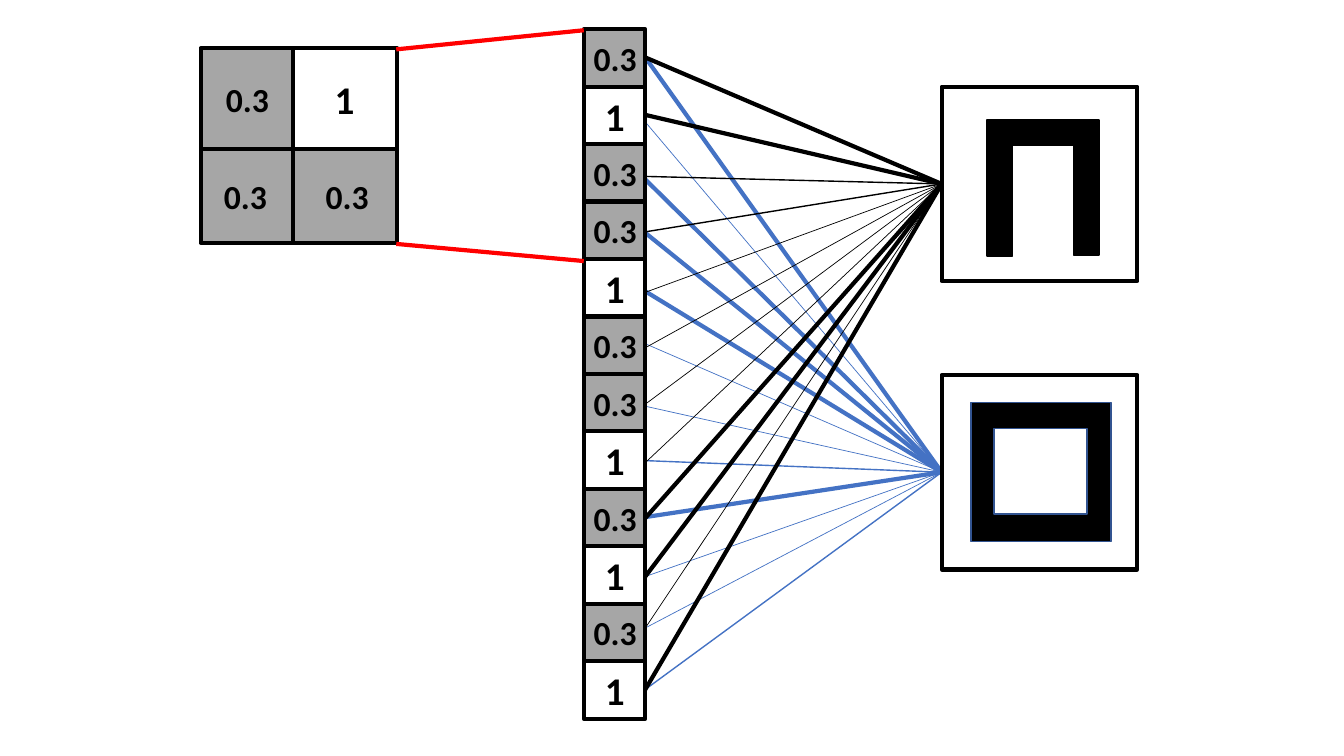
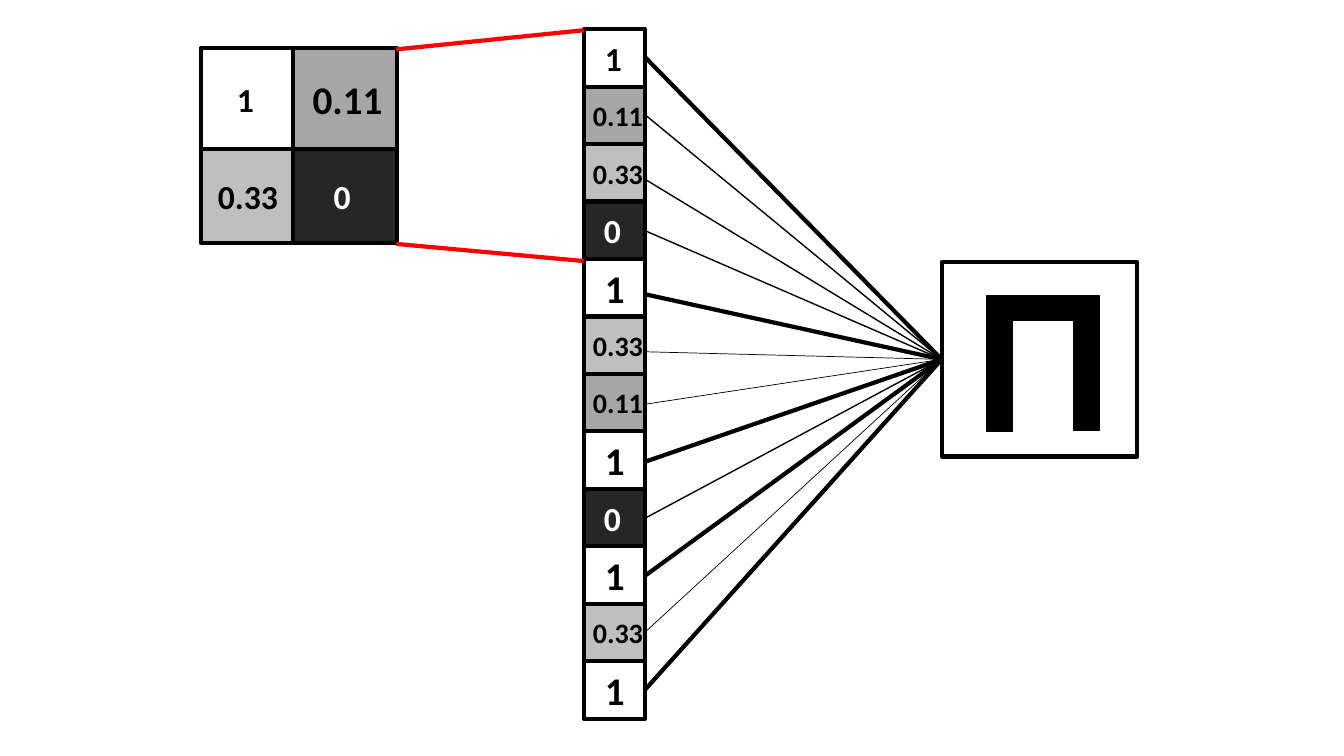
"""Build two slides that link image pixels, flattened to a column, to the shapes they vote for."""
from lxml.etree import SubElement
from pptx import Presentation
from pptx.dml.color import RGBColor
from pptx.enum.shapes import MSO_CONNECTOR, MSO_SHAPE
from pptx.enum.text import MSO_ANCHOR, PP_ALIGN
from pptx.oxml.ns import qn
from pptx.util import Pt

PX = 9144
SLIDE_SIZE = (1333, 750)
FONT = "Calibri"
COLORS = {
    "black": "000000",
    "white": "FFFFFF",
    "red": "FF0000",
    "blue": "4472C4",
    "navy": "325491",
    "gray": "A6A6A6",
    "silver": "BFBFBF",
    "charcoal": "262626",
}
SHADES = {"0.3": "gray", "0.11": "gray", "0.33": "silver", "0": "charcoal", "1": None}

PATCH_COLUMNS = [(199, 92), (291, 103)]
PATCH_ROWS = [(48, 100), (148, 93)]
CELL_LEFT, CELL_TOP, CELL_WIDTH, CELL_HEIGHT = 579, 29, 61, 57
GUIDES = [((393, 49), (579, 30)), ((393, 242), (579, 259))]
LINK_LEFT = 640
FRAME_LEFT, FRAME_WIDTH, FRAME_HEIGHT = 934, 194, 193

ARCH = [
    (45, 58, 25, 110, "black", "black"),
    (131, 57, 25, 110, "black", "black"),
    (45, 33, 111, 25, "black", "black"),
]
SQUARE = [
    (29, 27, 139, 138, "black", "navy"),
    (52, 53, 92, 85, "white", "navy"),
]

ONE = ("1", 28, 21)
SMALL_ONE = ("1", 24, 21)
ZERO = ("0", 24, 20)
THIRD = ("0.3", 24, 10)
LONG_THIRD = ("0.33", 20, 9)
NINTH = ("0.11", 20, 9)

SLIDES = [
    {
        "patch": [("0.3", 24, 25), ("1", 28, 41), ("0.3", 24, 23), ("0.3", 24, 32)],
        "column": [ONE if row in (1, 4, 7, 9, 11) else THIRD for row in range(12)],
        "targets": [
            {
                "top": 372, "icon": SQUARE, "color": "blue", "behind": True,
                "starts": [57, 121, 178, 231, 289, 341, 403, 457, 513, 572, 623, 684],
                "weights": [3, 0.5, 3, 3, 3, 0.5, 0.5, 1, 3, 0.5, 0.5, 1],
            },
            {
                "top": 86, "icon": ARCH, "color": "black", "behind": False,
                "starts": [57, 114, 175, 230, 290, 345, 401, 459, 514, 572, 623, 684],
                "weights": [3, 3, 1, 1, 0.5, 0.5, 0.5, 0.5, 3, 3, 0.5, 3],
            },
        ],
    },
    {
        "patch": [("1", 24, 36), ("0.11", 28, 19), ("0.33", 24, 17), ("0", 24, 40)],
        "column": [SMALL_ONE, NINTH, LONG_THIRD, ZERO, ONE, LONG_THIRD,
                   NINTH, ONE, ZERO, ONE, LONG_THIRD, ONE],
        "targets": [
            {
                "top": 260, "icon": ARCH, "color": "black", "behind": False,
                "starts": [57, 114, 178, 229, 292, 349, 401, 458, 514, 571, 627, 684],
                "weights": [3, 1, 1, 1, 3, 0.5, 0.5, 3, 1, 3, 0.5, 3],
            },
        ],
    },
]


def emu(*lengths):
    return [round(length * PX) for length in lengths]


def rgb(name):
    return RGBColor.from_string(COLORS[name])


def add_box(page, left, top, width, height, fill, line, weight):
    box = page.shapes.add_shape(MSO_SHAPE.RECTANGLE, *emu(left, top, width, height))
    box.shadow.inherit = False
    if fill:
        box.fill.solid()
        box.fill.fore_color.rgb = rgb(fill)
    else:
        box.fill.background()
    box.line.color.rgb = rgb(line)
    box.line.width = Pt(weight)
    return box


def add_cell(page, left, top, width, height, value):
    text, size, inset = value
    box = add_box(page, left, top, width, height, SHADES[text], "black", 3)
    frame = box.text_frame
    frame.word_wrap = True
    frame.vertical_anchor = MSO_ANCHOR.MIDDLE
    frame.margin_left = inset * PX
    frame.margin_right = frame.margin_top = frame.margin_bottom = 0
    frame.text = text
    para = frame.paragraphs[0]
    para.alignment = PP_ALIGN.LEFT
    font = para.runs[0].font
    font.name = FONT
    font.size = Pt(size)
    font.bold = True
    font.color.rgb = rgb("white" if text == "0" else "black")


def add_line(page, start, end, color, weight):
    line = page.shapes.add_connector(MSO_CONNECTOR.STRAIGHT, *emu(*start, *end))
    line.line.color.rgb = rgb(color)
    line.line.width = Pt(weight)
    SubElement(line._element.spPr, qn("a:effectLst"))


def add_links(page, target):
    end = (FRAME_LEFT, target["top"] + FRAME_HEIGHT / 2)
    for start, weight in zip(target["starts"], target["weights"]):
        add_line(page, (LINK_LEFT, start), end, target["color"], weight)


def add_target(page, target):
    top = target["top"]
    add_box(page, FRAME_LEFT, top, FRAME_WIDTH, FRAME_HEIGHT, None, "black", 3)
    for left, offset, width, height, fill, line in target["icon"]:
        add_box(page, FRAME_LEFT + left, top + offset, width, height, fill, line, 1)


def add_pixels(page, content):
    places = [(left, top, width, height)
              for top, height in PATCH_ROWS for left, width in PATCH_COLUMNS]
    places += [(CELL_LEFT, CELL_TOP + row * CELL_HEIGHT, CELL_WIDTH, CELL_HEIGHT)
               for row in range(len(content["column"]))]
    for place, value in zip(places, content["patch"] + content["column"]):
        add_cell(page, *place, value)
    for start, end in GUIDES:
        add_line(page, start, end, "red", 3)


def build_slide(deck, content):
    page = deck.slides.add_slide(deck.slide_layouts[6])
    targets = content["targets"]
    for target in targets:
        if target["behind"]:
            add_links(page, target)
    add_pixels(page, content)
    for target in targets:
        add_target(page, target)
        if not target["behind"]:
            add_links(page, target)


def main():
    deck = Presentation()
    deck.slide_width, deck.slide_height = emu(*SLIDE_SIZE)
    for content in SLIDES:
        build_slide(deck, content)
    deck.save("out.pptx")


if __name__ == "__main__":
    main()
